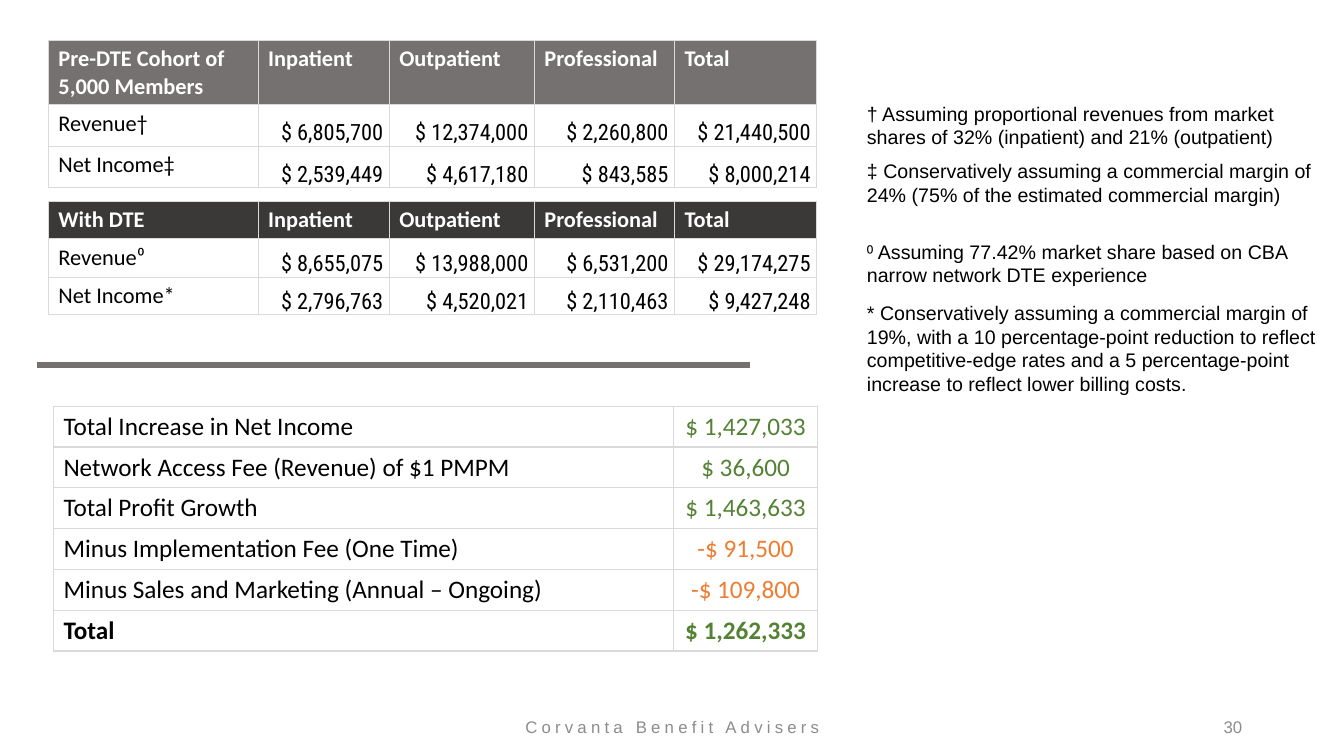
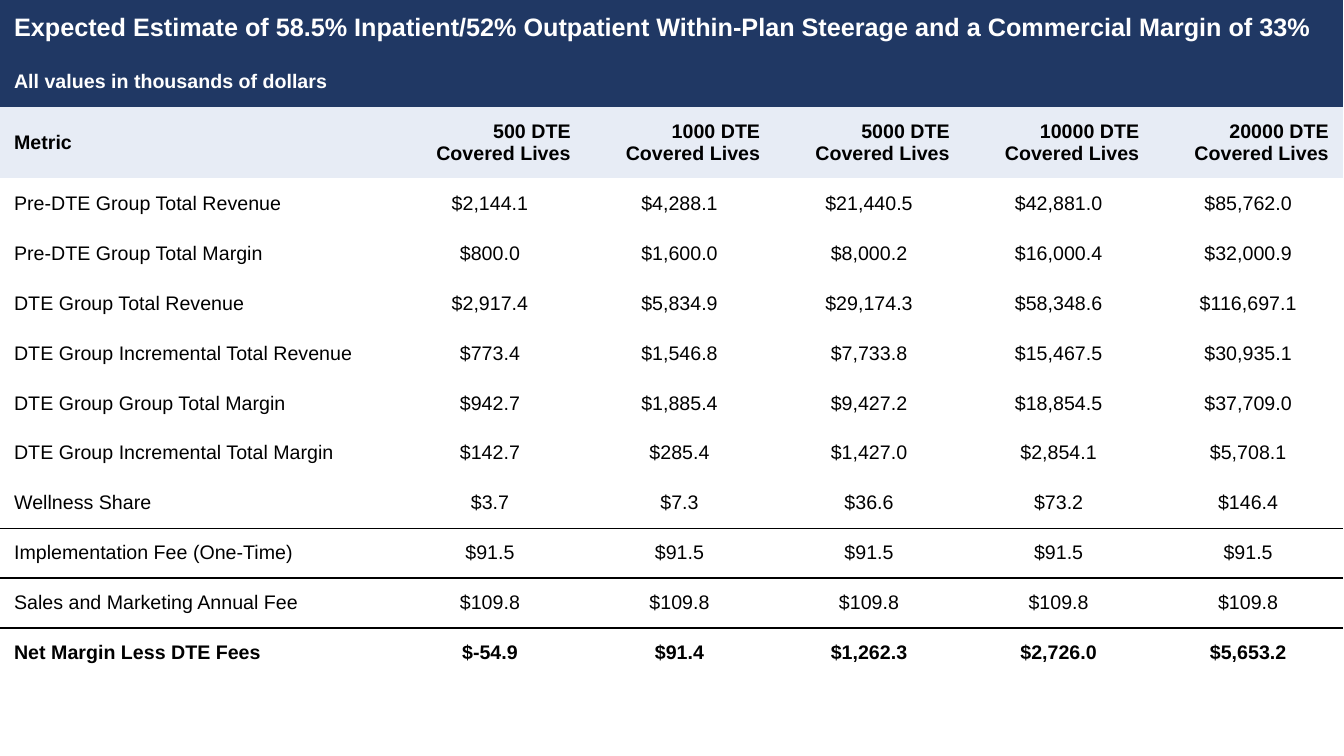
from dataclasses import dataclass, replace

import pptx
import pptx.dml.color
import pptx.enum.shapes
import pptx.enum.text
import pptx.oxml
import pptx.oxml.ns
import pptx.slide
import pptx.table
import pptx.util

Inches = pptx.util.Inches
Align = pptx.enum.text.PP_ALIGN
Anchor = pptx.enum.text.MSO_ANCHOR

COLORS = {
    "black": "000000",
    "white": "FFFFFF",
    "footer": "8C8C8C",
    "grid": "D9D9D9",
    "gray": "767171",
    "charcoal": "3B3838",
    "gain": "548235",
    "cost": "ED7D31",
    "navy": "203864",
    "pale": "E7ECF5",
}
PLAIN_TABLE_STYLE = "{2D5ABB26-0587-4C30-8999-92F81FD0307C}"
ALL_EDGES = "LRTB"


@dataclass(frozen=True)
class TextStyle:
    size: int
    font: str = "Arial"
    color: str = "black"
    bold: bool = False
    align: Align = Align.LEFT
    spacing: int = 0


@dataclass(frozen=True)
class CellStyle:
    text: TextStyle
    fill: str = ""
    anchor: Anchor = Anchor.TOP
    insets: tuple[float, float, float, float] = (0.1, 0.05, 0.1, 0.05)
    edges: str = ""
    edge_color: str = "grid"


@dataclass(frozen=True)
class Cell:
    text: str
    style: CellStyle


@dataclass(frozen=True)
class Note:
    text: str
    top: float
    height: float


@dataclass(frozen=True)
class CohortTable:
    top: float
    fill: str
    heights: list[float]
    title: str
    rows: list[list[str]]


NOTE = TextStyle(14)
FOOTER = TextStyle(12, color="footer", align=Align.CENTER, spacing=300)
PAGE_NUMBER = TextStyle(12, color="footer", align=Align.RIGHT)

COHORT_LABEL = CellStyle(TextStyle(16, "Calibri"), edges=ALL_EDGES)
COHORT_HEADER = replace(COHORT_LABEL, text=TextStyle(16, "Calibri", "white", True))
COHORT_VALUE = replace(
    COHORT_LABEL,
    text=TextStyle(16, "Roboto Condensed", align=Align.RIGHT),
    anchor=Anchor.BOTTOM,
    insets=(0.01, 0.01, 0.06, 0),
)
FEE_LABEL = CellStyle(TextStyle(18, "Calibri"), edges=ALL_EDGES)

METRIC = CellStyle(TextStyle(14), anchor=Anchor.MIDDLE, insets=(0.14, 0.1, 0.14, 0.1))
BANNER = replace(METRIC, text=TextStyle(18, color="white", bold=True), fill="navy")
METRIC_HEADER = replace(METRIC, text=TextStyle(14, bold=True), fill="pale")

COHORT_COLUMNS = [2.08, 1.3, 1.44, 1.39, 1.41]
COHORT_HEADINGS = ["Inpatient", "Outpatient", "Professional", "Total"]
COHORTS = [
    CohortTable(0.4, "gray", [0.64, 0.41, 0.41], "Pre-DTE Cohort of 5,000 Members", [
        ["Revenue†", "$ 6,805,700", "$ 12,374,000", "$ 2,260,800", "$ 21,440,500"],
        ["Net Income‡", "$ 2,539,449", "$ 4,617,180", "$ 843,585", "$ 8,000,214"],
    ]),
    CohortTable(2, "charcoal", [0.37, 0.38, 0.37], "With DTE", [
        ["Revenue⁰", "$ 8,655,075", "$ 13,988,000", "$ 6,531,200", "$ 29,174,275"],
        ["Net Income*", "$ 2,796,763", "$ 4,520,021", "$ 2,110,463", "$ 9,427,248"],
    ]),
]
FEES = [
    ("Total Increase in Net Income", "$ 1,427,033"),
    ("Network Access Fee (Revenue) of $1 PMPM", "$ 36,600"),
    ("Total Profit Growth", "$ 1,463,633"),
    ("Minus Implementation Fee (One Time)", "-$ 91,500"),
    ("Minus Sales and Marketing (Annual – Ongoing)", "-$ 109,800"),
    ("Total", "$ 1,262,333"),
]
NOTES = [
    Note("† Assuming proportional revenues from market shares of 32% (inpatient) "
         "and 21% (outpatient)", 0.96, 0.57),
    Note("‡ Conservatively assuming a commercial margin of 24% (75% of the "
         "estimated commercial margin)", 1.53, 0.57),
    Note("⁰ Assuming 77.42% market share based on CBA narrow network DTE experience",
         2.33, 0.57),
    Note("* Conservatively assuming a commercial margin of 19%, with a 10 "
         "percentage-point reduction to reflect competitive-edge rates and a 5 "
         "percentage-point increase to reflect lower billing costs.", 2.94, 1.04),
]
BANNERS = [
    "Expected Estimate of 58.5% Inpatient/52% Outpatient Within-Plan Steerage "
    "and a Commercial Margin of 33%",
    "All values in thousands of dollars",
]
COVERED_LIVES = [500, 1000, 5000, 10000, 20000]
METRICS = [
    ["Pre-DTE Group Total Revenue", "$2,144.1", "$4,288.1", "$21,440.5", "$42,881.0", "$85,762.0"],
    ["Pre-DTE Group Total Margin", "$800.0", "$1,600.0", "$8,000.2", "$16,000.4", "$32,000.9"],
    ["DTE Group Total Revenue", "$2,917.4", "$5,834.9", "$29,174.3", "$58,348.6", "$116,697.1"],
    ["DTE Group Incremental Total Revenue",
     "$773.4", "$1,546.8", "$7,733.8", "$15,467.5", "$30,935.1"],
    ["DTE Group Group Total Margin", "$942.7", "$1,885.4", "$9,427.2", "$18,854.5", "$37,709.0"],
    ["DTE Group Incremental Total Margin",
     "$142.7", "$285.4", "$1,427.0", "$2,854.1", "$5,708.1"],
    ["Wellness Share", "$3.7", "$7.3", "$36.6", "$73.2", "$146.4"],
    ["Implementation Fee (One-Time)"] + ["$91.5"] * 5,
    ["Sales and Marketing Annual Fee"] + ["$109.8"] * 5,
    ["Net Margin Less DTE Fees", "$-54.9", "$91.4", "$1,262.3", "$2,726.0", "$5,653.2"],
]
METRIC_EDGES = {
    "Wellness Share": "B",
    "Implementation Fee (One-Time)": "T",
    "Sales and Marketing Annual Fee": "B",
    "Net Margin Less DTE Fees": "T",
}


def rgb(name: str) -> pptx.dml.color.RGBColor:
    return pptx.dml.color.RGBColor.from_string(COLORS[name])


def write_text(frame, text: str, style: TextStyle) -> None:
    paragraph = frame.paragraphs[0]
    paragraph.alignment = style.align
    run = paragraph.add_run()
    run.text = text
    run.font.name = style.font
    run.font.size = pptx.util.Pt(style.size)
    run.font.bold = style.bold
    run.font.color.rgb = rgb(style.color)
    if style.spacing:
        run.font._element.set("spc", str(style.spacing))


def add_text(slide: pptx.slide.Slide, box: tuple[float, float, float, float], text: str,
             style: TextStyle, anchor: Anchor = Anchor.TOP) -> None:
    shape = slide.shapes.add_textbox(*map(Inches, box))
    shape.text_frame.word_wrap = True
    shape.text_frame.vertical_anchor = anchor
    write_text(shape.text_frame, text, style)


def add_edges(cell: pptx.table._Cell, edges: str, color: str) -> None:
    properties = cell._tc.get_or_add_tcPr()
    for position, edge in enumerate(edges):
        properties.insert(position, pptx.oxml.parse_xml(
            f'<a:ln{edge} {pptx.oxml.ns.nsdecls("a")} w="12700"><a:solidFill>'
            f'<a:srgbClr val="{COLORS[color]}"/></a:solidFill></a:ln{edge}>'))


def format_cell(cell: pptx.table._Cell, content: Cell) -> None:
    style = content.style
    (cell.margin_left, cell.margin_top,
     cell.margin_right, cell.margin_bottom) = map(Inches, style.insets)
    cell.vertical_anchor = style.anchor
    if style.fill:
        cell.fill.solid()
        cell.fill.fore_color.rgb = rgb(style.fill)
    else:
        cell.fill.background()
    add_edges(cell, style.edges, style.edge_color)
    if content.text:
        write_text(cell.text_frame, content.text, style.text)


def draw_table(slide: pptx.slide.Slide, left: float, top: float, columns: list[float],
               heights: list[float], rows: list[list[Cell]]) -> pptx.table.Table:
    table = slide.shapes.add_table(
        len(rows), len(columns), Inches(left), Inches(top),
        Inches(sum(columns)), Inches(sum(heights))).table
    table.first_row = table.horz_banding = False
    table._tbl.tblPr.find(pptx.oxml.ns.qn("a:tableStyleId")).text = PLAIN_TABLE_STYLE
    for column, width in zip(table.columns, columns):
        column.width = Inches(width)
    for row, height, contents in zip(table.rows, heights, rows):
        row.height = Inches(height)
        for cell, content in zip(row.cells, contents):
            format_cell(cell, content)
    return table


def draw_cohort(slide: pptx.slide.Slide, cohort: CohortTable) -> None:
    header = replace(COHORT_HEADER, fill=cohort.fill)
    rows = [[Cell(text, header) for text in [cohort.title, *COHORT_HEADINGS]]]
    for label, *values in cohort.rows:
        rows.append([Cell(label, COHORT_LABEL), *(Cell(value, COHORT_VALUE) for value in values)])
    draw_table(slide, 0.48, cohort.top, COHORT_COLUMNS, cohort.heights, rows)


def draw_fees(slide: pptx.slide.Slide) -> None:
    rows = []
    for label, amount in FEES:
        text = replace(FEE_LABEL.text, bold=label == "Total")
        color = "cost" if amount.startswith("-") else "gain"
        value = replace(text, color=color, align=Align.CENTER)
        rows.append([Cell(label, replace(FEE_LABEL, text=text)),
                     Cell(amount, replace(FEE_LABEL, text=value))])
    draw_table(slide, 0.53, 4.03, [6.15, 1.43], [2.43 / len(FEES)] * len(FEES), rows)


def draw_divider(slide: pptx.slide.Slide) -> None:
    line = slide.shapes.add_connector(
        pptx.enum.shapes.MSO_CONNECTOR.STRAIGHT,
        Inches(0.37), Inches(3.62), Inches(7.44), Inches(3.62))
    line.line.color.rgb = rgb("gray")
    line.line.width = pptx.util.Pt(4.5)
    line._element.spPr.append(
        pptx.oxml.parse_xml(f'<a:effectLst {pptx.oxml.ns.nsdecls("a")}/>'))


def build_cohort_slide(slide: pptx.slide.Slide) -> None:
    add_text(slide, (4.42, 7.08, 4.5, 0.27), "Corvanta Benefit Advisers", FOOTER, Anchor.MIDDLE)
    add_text(slide, (9.42, 7.08, 3, 0.27), "30", PAGE_NUMBER, Anchor.MIDDLE)
    for cohort in COHORTS:
        draw_cohort(slide, cohort)
    draw_divider(slide)
    draw_fees(slide)
    for note in NOTES:
        add_text(slide, (8.5, note.top, 4.72, note.height), note.text, NOTE)


def build_metrics_slide(slide: pptx.slide.Slide) -> None:
    subtitle = replace(BANNER, text=replace(BANNER.text, size=14))
    heading = replace(METRIC_HEADER, text=replace(METRIC_HEADER.text, align=Align.RIGHT))
    rows = [[Cell(text, style)] + [Cell("", style)] * len(COVERED_LIVES)
            for text, style in zip(BANNERS, (BANNER, subtitle))]
    rows.append([Cell("Metric", METRIC_HEADER),
                 *(Cell(f"{lives} DTE Covered Lives", heading) for lives in COVERED_LIVES)])
    for label, *values in METRICS:
        text = replace(METRIC.text, bold=label.startswith("Net Margin"))
        style = replace(METRIC, text=text, edges=METRIC_EDGES.get(label, ""), edge_color="black")
        centered = replace(style, text=replace(text, align=Align.CENTER))
        rows.append([Cell(label, style), *(Cell(value, centered) for value in values)])
    heights = [0.56, 0.5, 0.71] + [4.96 / len(METRICS)] * len(METRICS)
    table = draw_table(slide, 0, 0, [3.92] + [1.88] * len(COVERED_LIVES), heights, rows)
    for row in range(len(BANNERS)):
        table.cell(row, 0).merge(table.cell(row, len(COVERED_LIVES)))


def main() -> None:
    presentation = pptx.Presentation()
    presentation.slide_width = Inches(13.33)
    presentation.slide_height = Inches(7.5)
    blank = presentation.slide_layouts.get_by_name("Blank")
    for build in (build_cohort_slide, build_metrics_slide):
        build(presentation.slides.add_slide(blank))
    presentation.save("out.pptx")


if __name__ == "__main__":
    main()
